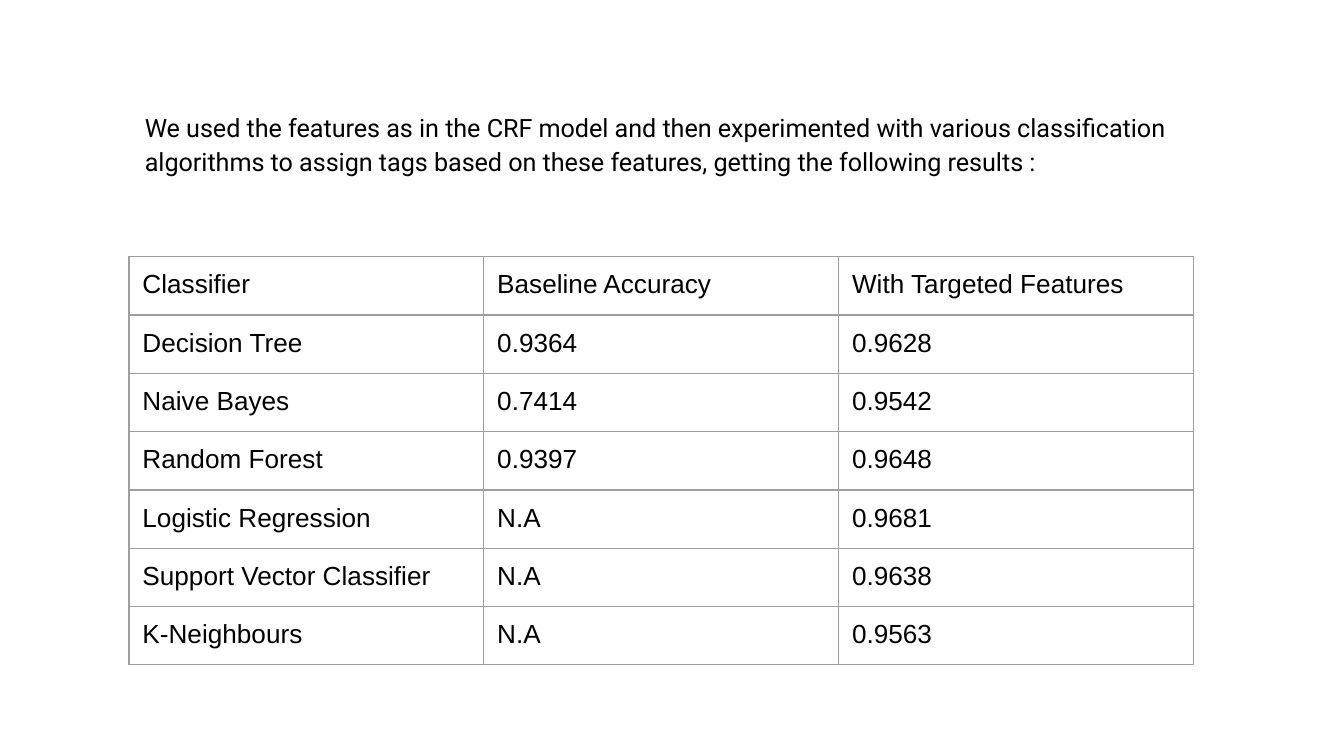
import lxml.etree
import pptx
import pptx.dml.color
import pptx.enum.text
import pptx.oxml.ns
import pptx.util

# Content
INTRODUCTION = (
    "We used the features as in the CRF model and then experimented with "
    "various classification algorithms to assign tags based on these "
    "features, getting the following results :"
)
RESULTS = [
    ("Classifier", "Baseline Accuracy", "With Targeted Features"),
    ("Decision Tree", "0.9364", "0.9628"),
    ("Naive Bayes", "0.7414", "0.9542"),
    ("Random Forest", "0.9397", "0.9648"),
    ("Logistic Regression", "N.A", "0.9681"),
    ("Support Vector Classifier", "N.A", "0.9638"),
    ("K-Neighbours", "N.A", "0.9563"),
]

# Layout in inches, on a 16:9 slide
SLIDE_WIDTH = 10
SLIDE_HEIGHT = SLIDE_WIDTH * 9 / 16
INTRODUCTION_BOX = (0.98, 0.7, 7.87, 0.69)
TABLE_LEFT, TABLE_TOP = 0.96, 1.91
COLUMN_WIDTH, ROW_HEIGHT = 2.64, 0.42
INSET = pptx.util.Inches(0.1)

TEXT_COLOUR = "000000"
BORDER_COLOUR = "9E9E9E"
BORDER_WIDTH = pptx.util.Pt(0.75)


def colour(value):
    return pptx.dml.color.RGBColor.from_string(value)


def set_insets(target):
    target.margin_left = target.margin_right = INSET
    target.margin_top = target.margin_bottom = INSET


def set_font(paragraph, name, size):
    paragraph.font.name = name
    paragraph.font.size = pptx.util.Pt(size)
    paragraph.font.color.rgb = colour(TEXT_COLOUR)


def add_borders(cell):
    qualified = pptx.oxml.ns.qn
    properties = cell._tc.get_or_add_tcPr()
    for position, side in enumerate(("lnL", "lnR", "lnT", "lnB")):
        line = lxml.etree.Element(qualified(f"a:{side}"), w=str(int(BORDER_WIDTH)))
        fill = lxml.etree.SubElement(line, qualified("a:solidFill"))
        lxml.etree.SubElement(fill, qualified("a:srgbClr"), val=BORDER_COLOUR)
        properties.insert(position, line)


def add_introduction(slide):
    box = slide.shapes.add_textbox(*map(pptx.util.Inches, INTRODUCTION_BOX))
    frame = box.text_frame
    frame.word_wrap = True
    frame.auto_size = pptx.enum.text.MSO_AUTO_SIZE.SHAPE_TO_FIT_TEXT
    set_insets(frame)
    frame.text = INTRODUCTION
    paragraph = frame.paragraphs[0]
    paragraph.line_spacing = 1.15
    set_font(paragraph, "Roboto", 13.5)


def add_results_table(slide):
    rows, columns = len(RESULTS), len(RESULTS[0])
    bounds = (TABLE_LEFT, TABLE_TOP, columns * COLUMN_WIDTH, rows * ROW_HEIGHT)
    table = slide.shapes.add_table(
        rows, columns, *map(pptx.util.Inches, bounds)
    ).table
    table.first_row = table.horz_banding = False
    for row, values in enumerate(RESULTS):
        for column, value in enumerate(values):
            cell = table.cell(row, column)
            cell.text = value
            set_insets(cell)
            cell.fill.background()
            add_borders(cell)
            set_font(cell.text_frame.paragraphs[0], "Arial", 14)


def main():
    presentation = pptx.Presentation()
    presentation.slide_width = pptx.util.Inches(SLIDE_WIDTH)
    presentation.slide_height = pptx.util.Inches(SLIDE_HEIGHT)
    # The blank layout, as the slide has no title
    slide = presentation.slides.add_slide(presentation.slide_layouts[6])
    add_introduction(slide)
    add_results_table(slide)
    presentation.save("out.pptx")


if __name__ == "__main__":
    main()
